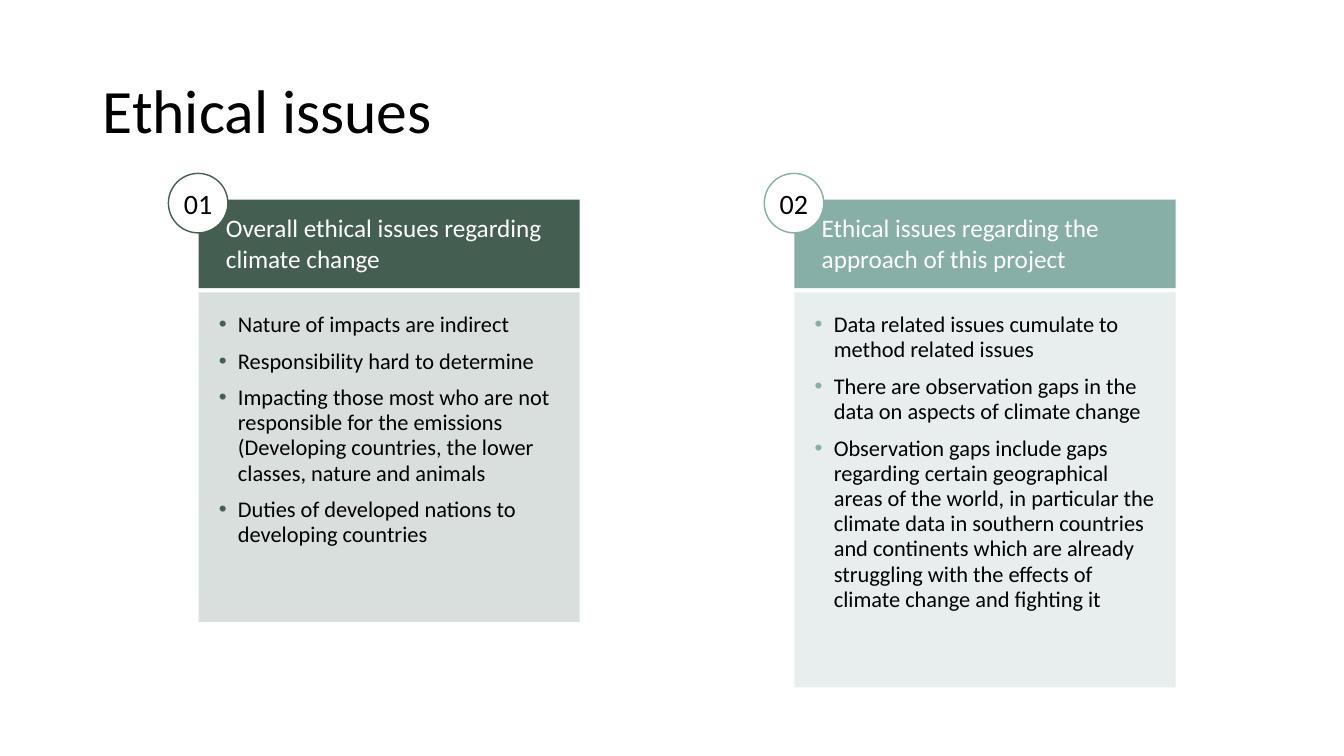
"""Builds the "Ethical issues" slide: two numbered cards of bullet points."""
from lxml import etree
from pptx import Presentation
from pptx import util as u
from pptx.dml.color import RGBColor
from pptx.enum import shapes, text
from pptx.oxml.ns import qn

HEADING = "Ethical issues"
CARDS = [
    {"number": "01", "left": 1.97, "height": 3.27, "accent": "445F51",
     "topic": "Overall ethical issues regarding climate change",
     "points": [
         "Nature of impacts are indirect",
         "Responsibility hard to determine",
         "Impacting those most who are not responsible for the emissions "
         "(Developing countries, the lower classes, nature and animals",
         "Duties of developed nations to developing countries"]},
    {"number": "02", "left": 7.88, "height": 3.92, "accent": "87AEA7",
     "topic": "Ethical issues regarding the approach of this project",
     "points": [
         "Data related issues cumulate to method related issues",
         "There are observation gaps in the data on aspects of climate change",
         "Observation gaps include gaps regarding certain geographical areas of the world, "
         "in particular the climate data in southern countries and continents which are "
         "already struggling with the effects of climate change and fighting it"]},
]
BLACK, WHITE = "000000", "FFFFFF"
CARD_WIDTH, BAND_TOP, BAND_HEIGHT, BODY_TOP = 3.78, 1.98, 0.88, 2.9
BADGE_SIZE, BADGE_TOP, BADGE_OFFSET = 0.59, 1.72, -0.3
HANG = 0.19
MIDDLE, TOP = text.MSO_ANCHOR.MIDDLE, text.MSO_ANCHOR.TOP
GROW = text.MSO_AUTO_SIZE.SHAPE_TO_FIT_TEXT
LEFT, CENTER = text.PP_ALIGN.LEFT, text.PP_ALIGN.CENTER

BODY_FRAME = {"word_wrap": True, "vertical_anchor": TOP, "auto_size": GROW,
              **{f"margin_{side}": u.Inches(0.2) for side in ("left", "top", "right", "bottom")}}
BAND_FRAME = {**BODY_FRAME, "margin_left": u.Inches(0.27), "margin_right": u.Inches(0.27),
              "margin_top": u.Inches(0.13), "margin_bottom": u.Inches(0.13)}
BADGE_FRAME = {"word_wrap": False, "vertical_anchor": MIDDLE}
HEADING_FRAME = {"word_wrap": True, "vertical_anchor": MIDDLE}
BODY_PARAGRAPH = {"alignment": LEFT, "line_spacing": 0.94, "space_after": u.Pt(8)}


def rgb(value):
    return RGBColor.from_string(value)


def apply(target, values):
    for name, value in values.items():
        setattr(target, name, value)


def add_bullet(paragraph, accent):
    properties = paragraph._p.get_or_add_pPr()
    properties.set("marL", str(u.Inches(HANG)))
    properties.set("indent", str(-u.Inches(HANG)))
    color = etree.SubElement(properties, qn("a:buClr"))
    etree.SubElement(color, qn("a:srgbClr"), val=accent)
    etree.SubElement(properties, qn("a:buFont"), typeface="Arial")
    etree.SubElement(properties, qn("a:buChar"), char="•")


def write(shape, lines, size, color, frame, paragraph_format, bullet=None):
    apply(shape.text_frame, frame)
    for index, line in enumerate(lines):
        paragraph = shape.text_frame.paragraphs[0] if index == 0 else shape.text_frame.add_paragraph()
        if bullet:
            add_bullet(paragraph, bullet)
        apply(paragraph, paragraph_format)
        run = paragraph.add_run()
        run.text = line
        apply(run.font, {"name": "Calibri", "size": u.Pt(size)})
        run.font.color.rgb = rgb(color)


def add_block(slide, kind, box, fill, opacity=100, outline=None):
    block = slide.shapes.add_shape(kind, *map(u.Inches, box))
    block.shadow.inherit = False
    block.fill.solid()
    block.fill.fore_color.rgb = rgb(fill)
    if opacity < 100:
        tint = block._element.spPr.find(f"{qn('a:solidFill')}/{qn('a:srgbClr')}")
        etree.SubElement(tint, qn("a:alpha"), val=str(opacity * 1000))
    if outline:
        block.line.color.rgb = rgb(outline)
        block.line.width = u.Pt(1)
    else:
        block.line.fill.background()
    return block


def add_card(slide, card):
    left, accent = card["left"], card["accent"]
    rectangle, oval = shapes.MSO_SHAPE.RECTANGLE, shapes.MSO_SHAPE.OVAL
    body = add_block(slide, rectangle, (left, BODY_TOP, CARD_WIDTH, card["height"]), accent, opacity=20)
    write(body, card["points"], 16, BLACK, BODY_FRAME, BODY_PARAGRAPH, bullet=accent)
    band = add_block(slide, rectangle, (left, BAND_TOP, CARD_WIDTH, BAND_HEIGHT), accent)
    write(band, [card["topic"]], 18, WHITE, BAND_FRAME, {"alignment": LEFT})
    badge = add_block(slide, oval, (left + BADGE_OFFSET, BADGE_TOP, BADGE_SIZE, BADGE_SIZE),
                      WHITE, outline=accent)
    write(badge, [card["number"]], 20, BLACK, BADGE_FRAME, {"alignment": CENTER})


def main():
    deck = Presentation()
    apply(deck, {"slide_width": u.Inches(13.33), "slide_height": u.Inches(7.5)})
    slide = deck.slides.add_slide(deck.slide_layouts[6])
    heading = slide.shapes.add_textbox(*map(u.Inches, (0.92, 0.4, 11.5, 1.45)))
    write(heading, [HEADING], 44, BLACK, HEADING_FRAME, {"line_spacing": 0.9})
    for card in CARDS:
        add_card(slide, card)
    deck.save("out.pptx")


if __name__ == "__main__":
    main()
